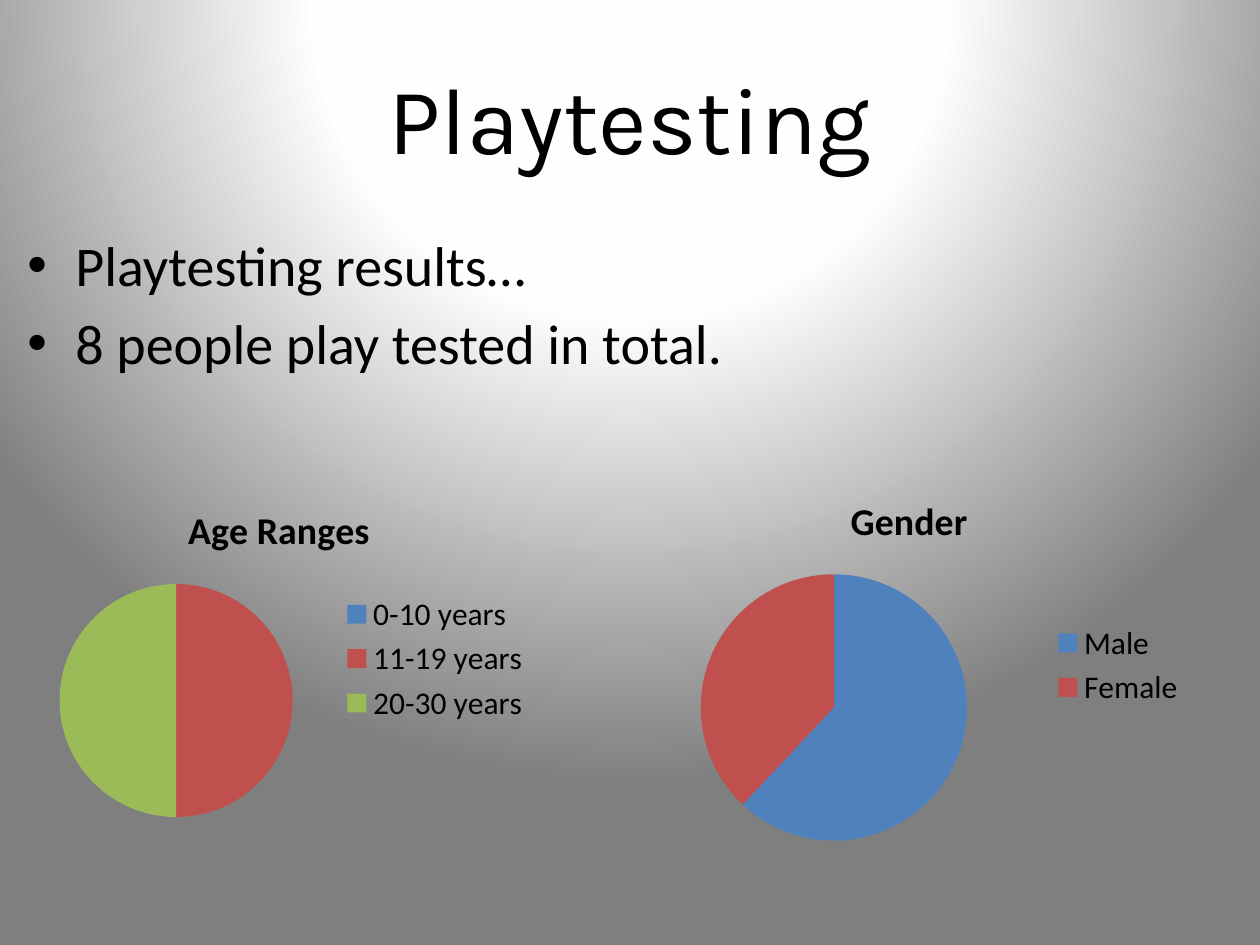
from dataclasses import dataclass

from lxml.etree import SubElement
from pptx import Presentation
from pptx.chart.data import CategoryChartData
from pptx.dml.color import RGBColor
from pptx.enum.chart import XL_CHART_TYPE, XL_LEGEND_POSITION
from pptx.enum.text import MSO_ANCHOR, PP_ALIGN
from pptx.oxml.ns import qn
from pptx.util import Inches, Pt


@dataclass(frozen=True)
class Theme:
    heading_font: str = "Karla"
    body_font: str = "Calibri"
    ink: str = "000000"
    slices: tuple = ("4F81BD", "C0504D", "9BBB59")
    backdrop: tuple = ((0, "FFFFFF"), (40, "FEFEFE"), (100, "7F7F7F"))
    heading_size: float = 54
    body_size: float = 32
    chart_title_size: float = 21.6
    legend_size: float = 18
    bullet_gap: float = 6.4
    bullet_indent: float = 0.38


THEME = Theme()
WIDTH, HEIGHT = 10, 7.5
HEADING = "Playtesting"
HEADING_AREA = (0.05, 0.04, 0.9, 0.167)
FINDINGS = ["Playtesting results…", "8 people play tested in total."]
FINDINGS_AREA = (0.012, 0.237, 0.976, 0.168)
SURVEYS = [
    ("Age Ranges", {"0-10 years": 0, "11-19 years": 50, "20-30 years": 50},
     (0.012, 0.511, 0.419, 0.372)),
    ("Gender", {"Male": 62, "Female": 38}, (0.492, 0.5, 0.459, 0.408)),
]


def place(area):
    return [Inches(share * side) for share, side in zip(area, (WIDTH, HEIGHT) * 2)]


def style(font, size, family=THEME.body_font, bold=False):
    font.name, font.size, font.bold = family, Pt(size), bold
    font.color.rgb = RGBColor.from_string(THEME.ink)


def paint_backdrop(slide):
    slide.background.fill.gradient()
    gradient = next(slide.element.iter(qn("a:gradFill")))
    for child in list(gradient):
        gradient.remove(child)
    stops = SubElement(gradient, qn("a:gsLst"))
    for percent, color in THEME.backdrop:
        stop = SubElement(stops, qn("a:gs"), pos=str(percent * 1000))
        SubElement(stop, qn("a:srgbClr"), val=color)
    circle = SubElement(gradient, qn("a:path"), path="circle")
    SubElement(circle, qn("a:fillToRect"), l="50000", t="-80000", r="50000", b="180000")


def add_heading(slide):
    frame = slide.shapes.add_textbox(*place(HEADING_AREA)).text_frame
    frame.word_wrap = True
    frame.vertical_anchor = MSO_ANCHOR.MIDDLE
    line = frame.paragraphs[0]
    line.alignment = PP_ALIGN.CENTER
    run = line.add_run()
    run.text = HEADING
    style(run.font, THEME.heading_size, THEME.heading_font)


def add_findings(slide):
    frame = slide.shapes.add_textbox(*place(FINDINGS_AREA)).text_frame
    frame.word_wrap = True
    for index, finding in enumerate(FINDINGS):
        line = frame.add_paragraph() if index else frame.paragraphs[0]
        properties = line._p.get_or_add_pPr()
        indent = Inches(THEME.bullet_indent)
        properties.set("marL", str(indent))
        properties.set("indent", str(-indent))
        SubElement(properties, qn("a:buFont"), typeface="Arial")
        SubElement(properties, qn("a:buChar"), char="•")
        if index:
            line.space_before = Pt(THEME.bullet_gap)
        run = line.add_run()
        run.text = finding
        style(run.font, THEME.body_size)


def add_survey(slide, topic, shares, area):
    answers = CategoryChartData()
    answers.categories = list(shares)
    answers.add_series(topic, list(shares.values()))
    pie = slide.shapes.add_chart(XL_CHART_TYPE.PIE, *place(area), answers).chart
    style(pie.font, THEME.legend_size)
    pie.has_title = True
    caption = pie.chart_title.text_frame.paragraphs[0].add_run()
    caption.text = topic
    style(caption.font, THEME.chart_title_size, bold=True)
    pie.chart_title.include_in_layout = False
    pie.has_legend = True
    pie.legend.position = XL_LEGEND_POSITION.RIGHT
    pie.legend.include_in_layout = False
    style(pie.legend.font, THEME.legend_size)
    for index, color in zip(range(len(shares)), THEME.slices):
        fill = pie.plots[0].series[0].points[index].format.fill
        fill.solid()
        fill.fore_color.rgb = RGBColor.from_string(color)


def main():
    deck = Presentation()
    deck.slide_width, deck.slide_height = Inches(WIDTH), Inches(HEIGHT)
    slide = deck.slides.add_slide(deck.slide_layouts[6])
    paint_backdrop(slide)
    add_heading(slide)
    add_findings(slide)
    for survey in SURVEYS:
        add_survey(slide, *survey)
    deck.save("out.pptx")


if __name__ == "__main__":
    main()
